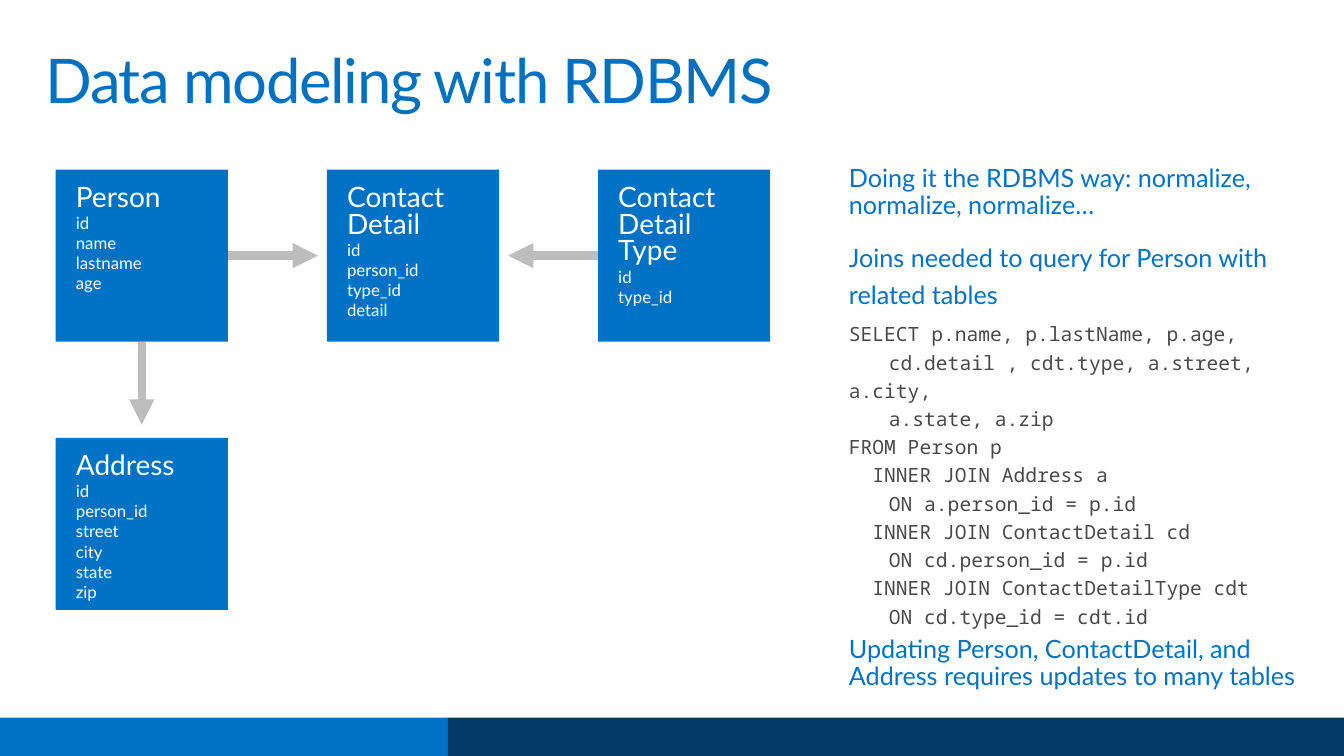
import pptx
import pptx.util
import pptx.dml.color
import pptx.enum.shapes
import pptx.enum.text
import pptx.oxml
import pptx.oxml.ns
from dataclasses import dataclass

Pt = pptx.util.Pt

TITLE = "Data modeling with RDBMS"
TABLES = [
    ("Person", 0, 0, ["id", "name", "lastname", "age"]),
    ("Contact Detail", 1, 0, ["id", "person_id", "type_id", "detail"]),
    ("Contact Detail Type", 2, 0, ["id", "type_id"]),
    ("Address", 0, 1, ["id", "person_id", "street", "city", "state", "zip"]),
]
RELATIONS = [
    ("Person", "Address"),
    ("Person", "Contact Detail"),
    ("Contact Detail Type", "Contact Detail"),
]
NOTES = [
    ("tight", "Doing it the RDBMS way: normalize, normalize, normalize…"),
    ("loose", "Joins needed to query for Person with related tables"),
    ("code", "SELECT p.name, p.lastName, p.age,"),
    ("code", "\tcd.detail , cdt.type, a.street, a.city,"),
    ("code", "\ta.state, a.zip"),
    ("code", "FROM Person p\n  INNER JOIN Address a"),
    ("code", "\tON a.person_id = p.id\n  INNER JOIN ContactDetail cd"),
    ("code", "\tON cd.person_id = p.id\n  INNER JOIN ContactDetailType cdt"),
    ("code", "\tON cd.type_id = cdt.id"),
    ("tight", "Updating Person, ContactDetail, and Address requires updates to many tables"),
]


@dataclass(frozen=True)
class Theme:
    blue: str = "0072C6"
    title_blue: str = "0070C0"
    navy: str = "003963"
    arrow: str = "BDBDBD"
    code: str = "494949"
    white: str = "FFFFFF"
    sans: str = "Lato"
    mono: str = "Noto Sans Mono"
    title_size: float = 44
    note_size: float = 18
    code_size: float = 14
    table_size: float = 20
    field_size: float = 12


THEME = Theme()
WIDTH, HEIGHT = 960, 540
BAR_TOP, BAR_SPLIT = 512.6, 320
GRID_LEFT, GRID_TOP = 39.8, 121.1
SIDE, COLUMN_STEP, ROW_STEP = 123, 193.7, 191.6
ARROW_GAP = {"across": 6.5, "down": 9.4}
CODE_TAB = 28.6
NOTE_STYLES = {
    "tight": (THEME.sans, THEME.note_size, THEME.blue, 0.9, 6),
    "loose": (THEME.sans, THEME.note_size, THEME.blue, 1.2, 6),
    "code": (THEME.mono, THEME.code_size, THEME.code, 1.2, 0),
}


def color(value):
    return pptx.dml.color.RGBColor.from_string(value)


def style_runs(paragraph, font, size, fill):
    for run in paragraph.runs:
        run.font.name = font
        run.font.size = Pt(size)
        run.font.color.rgb = color(fill)


def set_frame(frame, horizontal, vertical):
    frame.word_wrap = True
    frame.auto_size = pptx.enum.text.MSO_AUTO_SIZE.NONE
    frame.vertical_anchor = pptx.enum.text.MSO_ANCHOR.TOP
    frame.margin_left = frame.margin_right = Pt(horizontal)
    frame.margin_top = frame.margin_bottom = Pt(vertical)


def add_rectangle(slide, left, top, width, height, fill):
    shape = slide.shapes.add_shape(
        pptx.enum.shapes.MSO_SHAPE.RECTANGLE, Pt(left), Pt(top), Pt(width), Pt(height))
    shape.shadow.inherit = False
    shape.fill.solid()
    shape.fill.fore_color.rgb = color(fill)
    shape.line.fill.background()
    return shape


def add_title(slide):
    title = slide.shapes.title
    title.left, title.top, title.width, title.height = Pt(21), Pt(28.8), Pt(918), Pt(70.6)
    set_frame(title.text_frame, 11.5, 7.2)
    title.text_frame.text = TITLE
    paragraph = title.text_frame.paragraphs[0]
    paragraph.alignment = pptx.enum.text.PP_ALIGN.LEFT
    paragraph.line_spacing = 0.9
    style_runs(paragraph, THEME.sans, THEME.title_size, THEME.title_blue)
    for run in paragraph.runs:
        run.font._element.set("spc", "-100")


def add_arrow(slide, start, end):
    (start_column, start_row), (end_column, end_row) = start, end
    across = (end_column > start_column) - (end_column < start_column)
    down = (end_row > start_row) - (end_row < start_row)
    gap = ARROW_GAP["across" if across else "down"]
    start_x, end_x = (GRID_LEFT + column * COLUMN_STEP + SIDE / 2 for column in (start_column, end_column))
    start_y, end_y = (GRID_TOP + row * ROW_STEP + SIDE / 2 for row in (start_row, end_row))
    reach = SIDE / 2
    connector = slide.shapes.add_connector(
        pptx.enum.shapes.MSO_CONNECTOR.STRAIGHT,
        Pt(start_x + across * reach), Pt(start_y + down * reach),
        Pt(end_x - across * (reach + gap)), Pt(end_y - down * (reach + gap)))
    connector.line.color.rgb = color(THEME.arrow)
    connector.line.width = Pt(6)
    line = connector.line._get_or_add_ln()
    pptx.oxml.ns.qn("a:tailEnd")
    line.append(pptx.oxml.parse_xml(
        f'<a:tailEnd {pptx.oxml.ns.nsdecls("a")} type="triangle"/>'))
    connector._element.spPr.append(pptx.oxml.parse_xml(
        f'<a:effectLst {pptx.oxml.ns.nsdecls("a")}/>'))


def add_table_box(slide, name, column, row, fields):
    shape = add_rectangle(slide, GRID_LEFT + column * COLUMN_STEP,
                          GRID_TOP + row * ROW_STEP, SIDE, SIDE, THEME.blue)
    set_frame(shape.text_frame, 14.4, 11.5)
    shape.text_frame.text = "\n".join([name] + fields)
    for index, paragraph in enumerate(shape.text_frame.paragraphs):
        paragraph.alignment = pptx.enum.text.PP_ALIGN.LEFT
        paragraph.line_spacing = 1.0 if index else 0.8
        size = THEME.field_size if index else THEME.table_size
        style_runs(paragraph, THEME.sans, size, THEME.white)


def add_notes_column(slide):
    box = slide.shapes.add_textbox(Pt(592), Pt(106.6), Pt(355), Pt(389.5))
    frame = box.text_frame
    set_frame(frame, 14.4, 11.5)
    for index, (kind, text) in enumerate(NOTES):
        font, size, fill, spacing, gap = NOTE_STYLES[kind]
        paragraph = frame.add_paragraph() if index else frame.paragraphs[0]
        paragraph.text = text
        paragraph.line_spacing = spacing
        paragraph.space_before = Pt(gap if index else 0)
        paragraph.space_after = Pt(gap)
        if kind == "code":
            paragraph._p.get_or_add_pPr().append(pptx.oxml.parse_xml(
                f'<a:tabLst {pptx.oxml.ns.nsdecls("a")}>'
                f'<a:tab pos="{Pt(CODE_TAB)}" algn="l"/></a:tabLst>'))
        style_runs(paragraph, font, size, fill)


def main():
    presentation = pptx.Presentation()
    presentation.slide_width, presentation.slide_height = Pt(WIDTH), Pt(HEIGHT)
    slide = presentation.slides.add_slide(presentation.slide_layouts.get_by_name("Title Only"))
    for left, right, fill in ((0, BAR_SPLIT, THEME.blue), (BAR_SPLIT, WIDTH, THEME.navy)):
        add_rectangle(slide, left, BAR_TOP, right - left, HEIGHT - BAR_TOP, fill)
    add_title(slide)
    cells = {name: (column, row) for name, column, row, fields in TABLES}
    for start, end in RELATIONS:
        add_arrow(slide, cells[start], cells[end])
    add_notes_column(slide)
    for table in TABLES:
        add_table_box(slide, *table)
    presentation.save("out.pptx")


if __name__ == "__main__":
    main()
